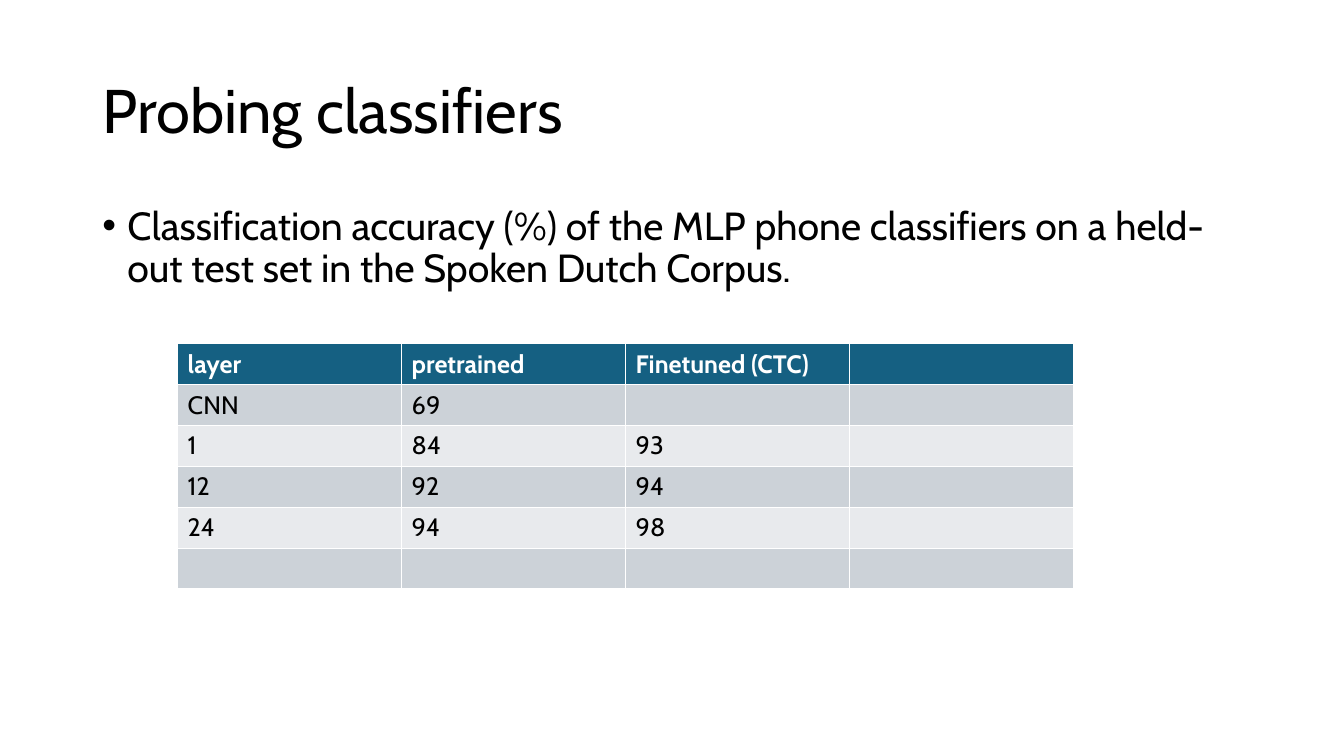
"""Build the slide on probing classifiers with its table of accuracies."""
from dataclasses import dataclass

import lxml.etree
import pptx
import pptx.dml.color
import pptx.enum.text
import pptx.oxml.ns
import pptx.util

TITLE = "Probing classifiers"
STATEMENT = (
    "Classification accuracy (%) of the MLP phone classifiers "
    "on a held-out test set in the Spoken Dutch Corpus."
)
ACCURACIES = [
    ("layer", "pretrained", "Finetuned (CTC)", ""),
    ("CNN", "69", "", ""),
    ("1", "84", "93", ""),
    ("12", "92", "94", ""),
    ("24", "94", "98", ""),
    ("", "", "", ""),
]

SLIDE_SIZE = (960, 540)
TITLE_BOX = (66, 28.75, 828, 104.4)
STATEMENT_BOX = (66, 143.75, 828, 342.6)
TABLE_ORIGIN = (126.9, 245.6)
COLUMN_WIDTH = 160
ROW_HEIGHT = 29.2
BULLET_INDENT = 18


@dataclass(frozen=True)
class Theme:
    """Colours, font and type sizes of the slide."""

    font: str = "Cabin"
    ink: str = "000000"
    header_ink: str = "FFFFFF"
    header_fill: str = "156082"
    bands: tuple = ("CCD2D8", "E8EAED")
    title_size: int = 44
    body_size: int = 28
    table_size: int = 18


THEME = Theme()


def points(values):
    """Convert numbers to lengths in points."""
    return [pptx.util.Pt(value) for value in values]


def colour(code):
    """Turn a hexadecimal code into a colour."""
    return pptx.dml.color.RGBColor.from_string(code)


def style(para, size, ink=THEME.ink, bold=False):
    """Set the font of a paragraph."""
    para.font.name = THEME.font
    para.font.size = pptx.util.Pt(size)
    para.font.bold = bold
    para.font.color.rgb = colour(ink)


def add_bullet(para):
    """Give a paragraph a round bullet with a hanging indent."""
    properties = para._p.get_or_add_pPr()
    indent = pptx.util.Pt(BULLET_INDENT)
    properties.set("marL", str(indent))
    properties.set("indent", str(-indent))
    for tag, key, value in (("a:buFont", "typeface", "Arial"), ("a:buChar", "char", "•")):
        mark = lxml.etree.SubElement(properties, pptx.oxml.ns.qn(tag))
        mark.set(key, value)


def add_title(page):
    """Place and format the title."""
    title = page.shapes.title
    title.left, title.top, title.width, title.height = points(TITLE_BOX)
    title.text_frame.text = TITLE
    title.text_frame.vertical_anchor = pptx.enum.text.MSO_ANCHOR.MIDDLE
    para = title.text_frame.paragraphs[0]
    para.alignment = pptx.enum.text.PP_ALIGN.LEFT
    para.line_spacing = 0.9
    style(para, THEME.title_size)


def add_statement(page):
    """Add the bulleted statement."""
    box = page.shapes.add_textbox(*points(STATEMENT_BOX))
    box.text_frame.word_wrap = True
    para = box.text_frame.paragraphs[0]
    para.text = STATEMENT
    para.line_spacing = 0.9
    para.space_before = pptx.util.Pt(10)
    add_bullet(para)
    style(para, THEME.body_size)


def add_accuracies(page):
    """Add the table of accuracies."""
    row_count, column_count = len(ACCURACIES), len(ACCURACIES[0])
    extent = (COLUMN_WIDTH * column_count, ROW_HEIGHT * row_count)
    frame = page.shapes.add_table(row_count, column_count, *points(TABLE_ORIGIN + extent))
    for row, texts in enumerate(ACCURACIES):
        header = row == 0
        fill = THEME.header_fill if header else THEME.bands[(row - 1) % 2]
        ink = THEME.header_ink if header else THEME.ink
        for column, text in enumerate(texts):
            cell = frame.table.cell(row, column)
            cell.text = text
            cell.fill.solid()
            cell.fill.fore_color.rgb = colour(fill)
            style(cell.text_frame.paragraphs[0], THEME.table_size, ink, header)


def main():
    """Build and save the deck."""
    deck = pptx.Presentation()
    deck.slide_width, deck.slide_height = points(SLIDE_SIZE)
    page = deck.slides.add_slide(deck.slide_layouts.get_by_name("Title Only"))
    add_title(page)
    add_statement(page)
    add_accuracies(page)
    deck.save("out.pptx")


if __name__ == "__main__":
    main()
